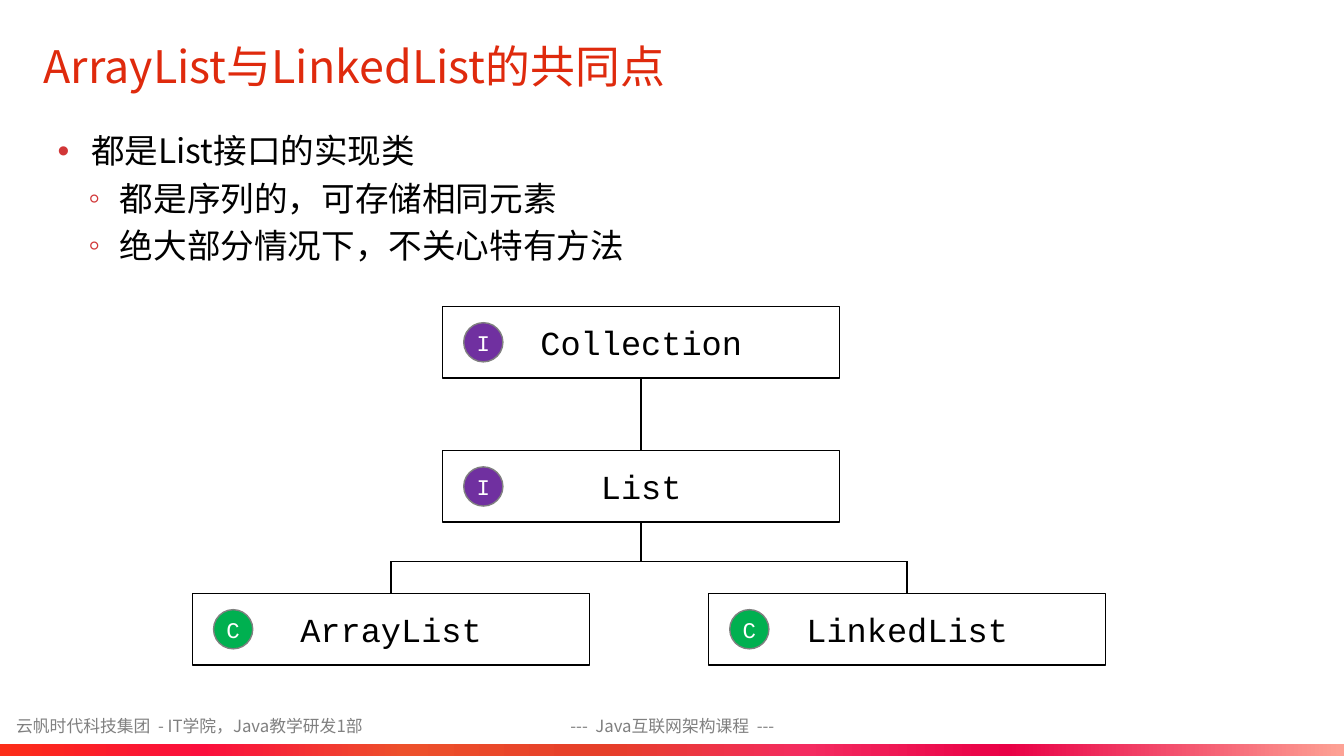
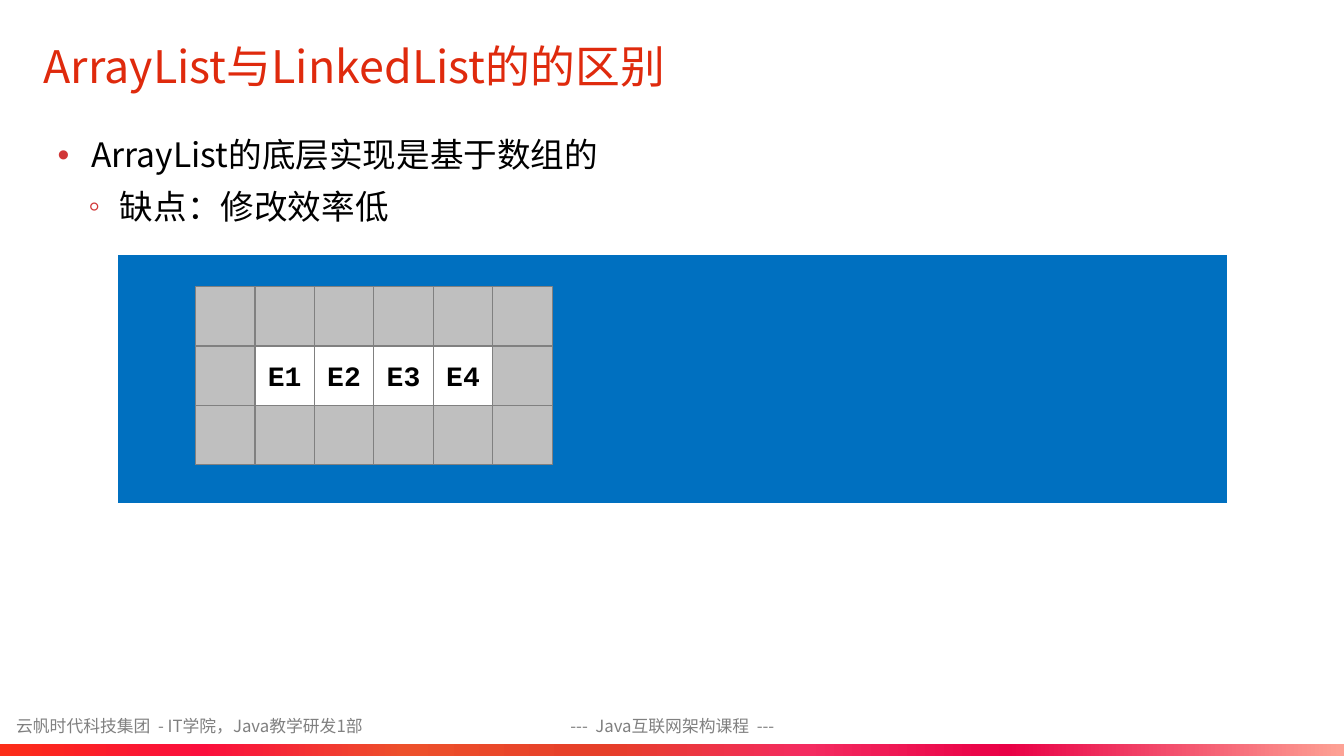
from lxml import etree
from pptx import Presentation
from pptx.dml.color import RGBColor
from pptx.enum.shapes import MSO_CONNECTOR, MSO_SHAPE
from pptx.enum.text import MSO_ANCHOR, MSO_AUTO_SIZE, PP_ALIGN
from pptx.oxml.ns import qn
from pptx.util import Pt

RECTANGLE, OVAL = MSO_SHAPE.RECTANGLE, MSO_SHAPE.OVAL
STRAIGHT = MSO_CONNECTOR.STRAIGHT
MIDDLE, TOP = MSO_ANCHOR.MIDDLE, MSO_ANCHOR.TOP
LEFT, CENTER, JUSTIFY = PP_ALIGN.LEFT, PP_ALIGN.CENTER, PP_ALIGN.JUSTIFY
NO_AUTOFIT = MSO_AUTO_SIZE.NONE

SANS, MONO = "Noto Sans CJK SC", "Courier New"
COLORS = {
    "title": "DF2A0D", "bullet": "D13637", "black": "000000", "white": "FFFFFF",
    "gray": "808080", "interface": "7030A0", "class": "00B050",
    "memory": "0070C0", "free": "BFBFBF",
}
BAND_STOPS = [(0, "FC2D18"), (15, "FB0F3D"), (30, "ED502B"), (45, "E63F29"),
              (60, "F42B60"), (75, "E90046"), (100, "FDA295")]
FOOTERS = [
    ("云帆时代科技集团  - IT学院，Java教学研发1部", (4.5, 507.5, 318, 22.5), LEFT),
    ("---  Java互联网架构课程  ---", (356.5, 507.5, 247.5, 22.5), CENTER),
]
BULLETS = [("•", 24, -24, 10), ("◦", 44.5, -22.5, 5)]

COMMON = {
    "title": "ArrayList与LinkedList的共同点",
    "items": [(0, "都是List接口的实现类"), (1, "都是序列的，可存储相同元素"),
              (1, "绝大部分情况下，不关心特有方法")],
    "height": 124, "spacing": 1.0,
}
DIFFERENCE = {
    "title": "ArrayList与LinkedList的的区别",
    "items": [(0, "ArrayList的底层实现是基于数组的"), (1, "缺点：修改效率低")],
    "height": 83.5, "spacing": 1.1,
}

TYPE_SIZE = (283.5, 51)
TYPES = [
    ("Collection", "interface", 458, 219),
    ("List", "interface", 458, 322),
    ("ArrayList", "class", 279.3, 424),
    ("LinkedList", "class", 648, 424),
]
BADGE_LETTERS = {"interface": "I", "class": "C"}
BADGE_SIZE, BADGE_INDENT = 28, 15
BUS_TOP = 401

MEMORY_PANEL = (84, 181.5, 793, 178)
MEMORY_ORIGIN, CELL = (139.5, 204.5), 42.5
MEMORY = [
    ["", "", "", "", "", ""],
    ["", "E1", "E2", "E3", "E4", ""],
    ["", "", "", "", "", ""],
]


def rgb(name):
    return RGBColor.from_string(COLORS[name])


def place(shape, box):
    shape.left, shape.top, shape.width, shape.height = [Pt(value) for value in box]


def add_run(paragraph, text, size, color, font=SANS, bold=False):
    run = paragraph.add_run()
    run.text = text
    run.font.size, run.font.name, run.font.bold = Pt(size), font, bold
    run.font.color.rgb = rgb(color)
    east_asian = etree.SubElement(run.font._element, qn("a:ea"))
    east_asian.set("typeface", font)


def add_box(slide, kind, box, fill, line, text="", size=24, color="black", bold=False):
    shape = slide.shapes.add_shape(kind, *[Pt(value) for value in box])
    shape.shadow.inherit = False
    shape.fill.solid()
    shape.fill.fore_color.rgb = rgb(fill)
    shape.line.color.rgb = rgb(line)
    shape.line.width = Pt(1)
    if text:
        frame = shape.text_frame
        frame.vertical_anchor = MIDDLE
        frame.margin_left = frame.margin_right = 0
        frame.margin_top = frame.margin_bottom = 0
        frame.paragraphs[0].alignment = CENTER
        add_run(frame.paragraphs[0], text, size, color, MONO, bold)
    return shape


def add_line(slide, start, end):
    line = slide.shapes.add_connector(STRAIGHT, *[Pt(value) for value in start + end])
    line.line.color.rgb = rgb("black")
    line.line.width = Pt(1)
    etree.SubElement(line.element.spPr, qn("a:effectLst"))
    return line


def add_footers(slide):
    shapes = []
    for text, box, alignment in FOOTERS:
        footer = slide.shapes.add_textbox(*[Pt(value) for value in box])
        footer.text_frame.word_wrap = True
        footer.text_frame.vertical_anchor = MIDDLE
        paragraph = footer.text_frame.paragraphs[0]
        paragraph.alignment = alignment
        add_run(paragraph, text, 12, "gray")
        shapes.append(footer)
    band = slide.shapes.add_shape(RECTANGLE, 0, Pt(531.5), Pt(960), Pt(8.5))
    band.shadow.inherit = False
    band.line.fill.background()
    band.fill.gradient()
    band.fill.gradient_angle = 0
    stops = band.element.spPr.find(".//" + qn("a:gsLst"))
    for stop in list(stops):
        stops.remove(stop)
    for position, color in BAND_STOPS:
        stop = etree.SubElement(stops, qn("a:gs"), pos=str(position * 1000))
        etree.SubElement(stop, qn("a:srgbClr"), val=color)
    return shapes + [band]


def share_on_layout(layout, slide):
    for placeholder in list(layout.placeholders):
        if placeholder.placeholder_format.idx >= 10:
            layout.shapes.element.remove(placeholder.element)
    for shape in add_footers(slide):
        layout.shapes.element.append(shape.element)


def fill_placeholders(slide, content):
    title, body = slide.shapes.title, slide.placeholders[1]
    place(title, (24, 21, 765, 51))
    place(body, (34, 89.5, 893, content["height"]))
    for placeholder, anchor in ((title, MIDDLE), (body, TOP)):
        placeholder.text_frame.auto_size = NO_AUTOFIT
        placeholder.text_frame.vertical_anchor = anchor
    heading = title.text_frame.paragraphs[0]
    heading.alignment = LEFT
    add_run(heading, content["title"], 32, "title")

    for index, (level, text) in enumerate(content["items"]):
        frame = body.text_frame
        paragraph = frame.add_paragraph() if index else frame.paragraphs[0]
        character, margin, indent, before = BULLETS[level]
        paragraph.level = level
        paragraph.alignment = JUSTIFY
        paragraph.line_spacing = content["spacing"]
        paragraph.space_before = Pt(before)
        properties = paragraph._p.get_or_add_pPr()
        properties.set("marL", str(Pt(margin)))
        properties.set("indent", str(Pt(indent)))
        bullet_color = etree.SubElement(properties, qn("a:buClr"))
        etree.SubElement(bullet_color, qn("a:srgbClr"), val=COLORS["bullet"])
        etree.SubElement(properties, qn("a:buChar"), char=character)
        add_run(paragraph, text, 24, "black")


def draw_hierarchy(slide):
    width, height = TYPE_SIZE
    boxes, centers, tops = {}, {}, {}
    for name, kind, center, top in TYPES:
        left = center - width / 2
        boxes[name] = add_box(slide, RECTANGLE, (left, top, width, height),
                              "white", "black", name)
        badge = (left + BADGE_INDENT, top + (height - BADGE_SIZE) / 2,
                 BADGE_SIZE, BADGE_SIZE)
        add_box(slide, OVAL, badge, kind, "gray", BADGE_LETTERS[kind], 16, "white")
        centers[name], tops[name] = center, top

    trunk = centers["List"]
    link = add_line(slide, (trunk, tops["Collection"] + height), (trunk, tops["List"]))
    link.begin_connect(boxes["Collection"], 2)
    link.end_connect(boxes["List"], 0)
    stem = add_line(slide, (trunk, tops["List"] + height), (trunk, BUS_TOP))
    stem.begin_connect(boxes["List"], 2)
    add_line(slide, (centers["ArrayList"], BUS_TOP), (centers["LinkedList"], BUS_TOP))
    for name in ("ArrayList", "LinkedList"):
        drop = add_line(slide, (centers[name], BUS_TOP), (centers[name], tops[name]))
        drop.end_connect(boxes[name], 0)


def draw_memory(slide):
    add_box(slide, RECTANGLE, MEMORY_PANEL, "memory", "white")
    left, top = MEMORY_ORIGIN
    for row, labels in enumerate(MEMORY):
        for column, label in enumerate(labels):
            box = (left + column * CELL, top + row * CELL, CELL, CELL)
            add_box(slide, RECTANGLE, box, "white" if label else "free", "gray",
                    label, 20, bold=True)


def main():
    presentation = Presentation()
    presentation.slide_width, presentation.slide_height = Pt(960), Pt(540)
    layout = presentation.slide_layouts[1]
    pages = [(COMMON, draw_hierarchy), (DIFFERENCE, draw_memory)]
    for index, (content, draw) in enumerate(pages):
        slide = presentation.slides.add_slide(layout)
        if index == 0:
            share_on_layout(layout, slide)
        fill_placeholders(slide, content)
        draw(slide)
    presentation.save("out.pptx")


if __name__ == "__main__":
    main()
